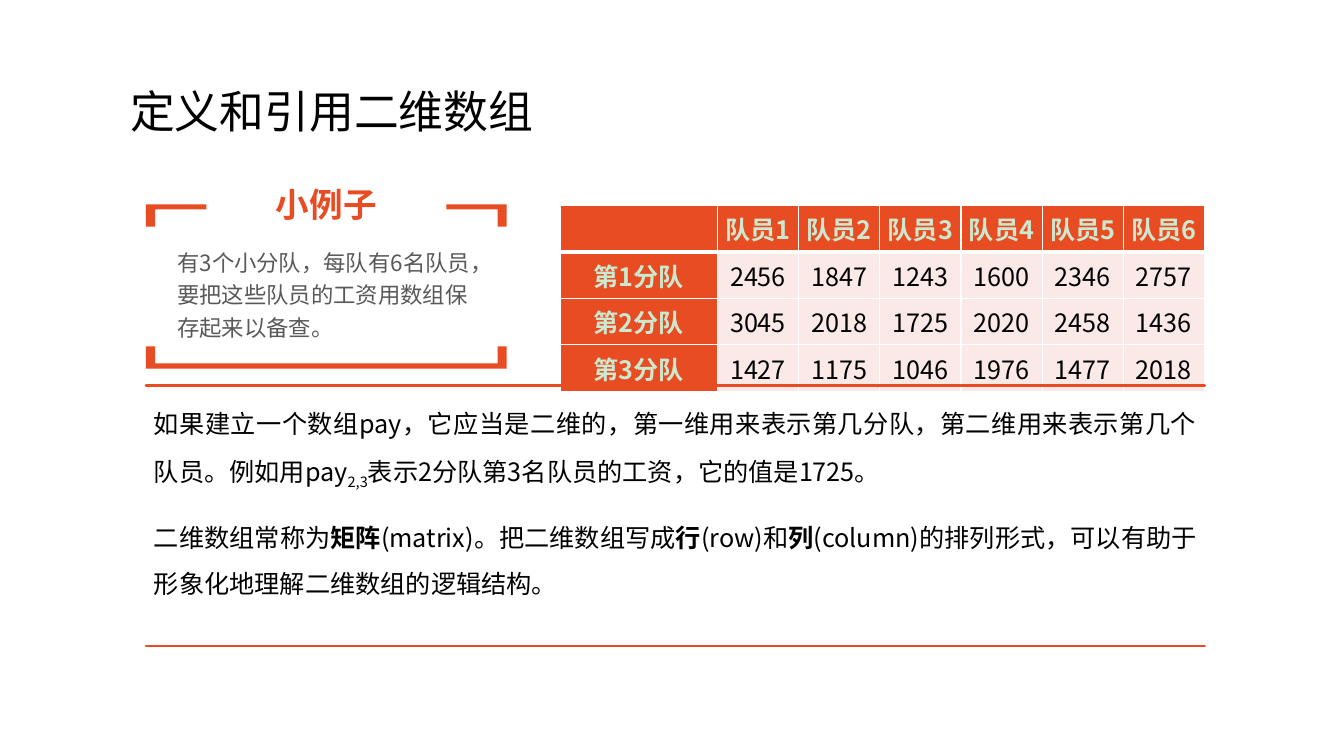
from lxml.etree import SubElement
from pptx import Presentation
from pptx.dml.color import RGBColor
from pptx.enum.text import MSO_ANCHOR as Anchor, PP_ALIGN as Align
from pptx.oxml import parse_xml
from pptx.oxml.ns import nsdecls, qn
from pptx.util import Cm, Pt

FONT = "Noto Sans CJK SC"
ORANGE, PINK, PALE_GREEN = "E84C22", "FBE9E8", "CCE8CF"
BLACK, GREY, WHITE = "000000", "595959", "FFFFFF"

MEMBERS = [f"队员{n}" for n in range(1, 7)]
PAY = [
    [2456, 1847, 1243, 1600, 2346, 2757],
    [3045, 2018, 1725, 2020, 2458, 1436],
    [1427, 1175, 1046, 1976, 1477, 2018],
]
EXAMPLE = "有3个小分队，每队有6名队员，要把这些队员的工资用数组保存起来以备查。"
# Each run is its text and its style: "" plain, "b" bold, "sub" subscript.
EXPLANATION = [
    [("如果建立一个数组pay，它应当是二维的，第一维用来表示第几分队，"
      "第二维用来表示第几个队员。例如用pay", ""),
     ("2,3", "sub"), ("表示2分队第3名队员的工资，它的值是1725。", "")],
    [("二维数组常称为", ""), ("矩阵", "b"), ("(matrix)。把二维数组写成", ""),
     ("行", "b"), ("(row)和", ""), ("列", "b"),
     ("(column)的排列形式，可以有助于形象化地理解二维数组的逻辑结构。", "")],
]


def rgb(value):
    return RGBColor.from_string(value)


def style(paragraph, size, color, bold=False, align=Align.LEFT, spacing=None):
    paragraph.alignment = align
    if spacing:
        paragraph.line_spacing = spacing
    font = paragraph.font
    font.name, font.size, font.bold = FONT, Pt(size), bold
    font.color.rgb = rgb(color)
    defaults = paragraph._p.pPr.find(qn("a:defRPr"))
    SubElement(defaults, qn("a:ea")).set("typeface", FONT)


def set_frame(frame, margins, anchor=Anchor.TOP):
    """Wrap the text; margins are left, top, right, bottom in cm."""
    frame.word_wrap = True
    frame.vertical_anchor = anchor
    (frame.margin_left, frame.margin_top,
     frame.margin_right, frame.margin_bottom) = map(Cm, margins)


def add_outlines(slide, outlines):
    """One shape made of several closed outlines, given in cm."""
    outlines = [[(Cm(x), Cm(y)) for x, y in outline] for outline in outlines]
    builder = slide.shapes.build_freeform(*outlines[0][0])
    for number, (start, *rest) in enumerate(outlines):
        if number:
            builder.move_to(*start)
        builder.add_line_segments(rest, close=True)
    shape = builder.convert_to_shape()
    shape.shadow.inherit = False
    return shape


def add_title(slide, left, top, width, height):
    frame = slide.shapes.add_textbox(*map(Cm, (left, top, width, height))).text_frame
    set_frame(frame, (0.25, 0.13, 0.25, 0.13), Anchor.MIDDLE)
    frame.text = "定义和引用二维数组"
    style(frame.paragraphs[0], 32, BLACK, spacing=0.9)


def add_example(slide, left, top, width, height):
    """Bracketed frame, open at the sides and top, with its heading and text."""
    right, bottom = left + width, top + height
    thick_x, thick_y, leg, arm = 0.23, 0.13, 0.56, 1.52

    def corner(edge, inward):
        inner = edge + inward * thick_x
        tip = edge + inward * arm
        return [(edge, top), (tip, top), (tip, top + thick_y),
                (inner, top + thick_y), (inner, top + leg), (edge, top + leg)]

    base = [(left, bottom - leg), (left + thick_x, bottom - leg),
            (left + thick_x, bottom - thick_y), (right - thick_x, bottom - thick_y),
            (right - thick_x, bottom - leg), (right, bottom - leg),
            (right, bottom), (left, bottom)]
    bracket = add_outlines(slide, [base, corner(right, -1), corner(left, 1)])
    bracket.fill.solid()
    bracket.fill.fore_color.rgb = rgb(ORANGE)
    bracket.line.fill.background()
    set_frame(bracket.text_frame, (0.79, 1, 0.79, 0))
    bracket.text_frame.text = EXAMPLE
    style(bracket.text_frame.paragraphs[0], 16, GREY, spacing=1.2)

    heading_width = 4
    heading = slide.shapes.add_textbox(
        Cm(left + (width - heading_width) / 2), Cm(top - 0.74),
        Cm(heading_width), Cm(1.45)).text_frame
    set_frame(heading, (0, 0, 0, 0), Anchor.MIDDLE)
    heading.text = "小例子"
    style(heading.paragraphs[0], 24, ORANGE, True, Align.CENTER)


def set_borders(cell, top, bottom):
    """Draw all four sides; top and bottom are widths in points."""
    properties = cell._tc.get_or_add_tcPr()
    sides = (("L", 1), ("R", 1), ("T", top), ("B", bottom))
    for position, (side, points) in enumerate(sides):
        properties.insert(position, parse_xml(
            f'<a:ln{side} {nsdecls("a")} w="{Pt(points)}"><a:solidFill>'
            f'<a:srgbClr val="{WHITE}"/></a:solidFill></a:ln{side}>'))


def add_pay_table(slide, left, top, width, height):
    rows = [["", *MEMBERS]] + [
        [f"第{n}分队", *pays] for n, pays in enumerate(PAY, 1)]
    table = slide.shapes.add_table(
        len(rows), len(rows[0]), *map(Cm, (left, top, width, height))).table
    team_width = 3.96
    for column in table.columns:
        column.width = Cm((width - team_width) / len(MEMBERS))
    table.columns[0].width = Cm(team_width)
    for r, values in enumerate(rows):
        for c, value in enumerate(values):
            cell = table.cell(r, c)
            is_label = r == 0 or c == 0
            cell.margin_left = cell.margin_right = Cm(0.1)
            cell.margin_top = cell.margin_bottom = Cm(0.13)
            set_borders(cell, 3 if r == 1 else 1, 3 if r == 0 else 1)
            cell.fill.solid()
            cell.fill.fore_color.rgb = rgb(ORANGE if is_label else PINK)
            cell.text = str(value)
            style(cell.text_frame.paragraphs[0], 18,
                  PALE_GREEN if is_label else BLACK, is_label, Align.CENTER)


def add_explanation(slide, left, top, width, height):
    """Two paragraphs between an upper and a lower rule, all one shape."""
    rules = add_outlines(slide, [
        [(left, y), (left + width, y), (left, y)] for y in (top + height, top)])
    rules.fill.background()
    rules.line.color.rgb = rgb(ORANGE)
    rules.line.width = Pt(2)
    frame = rules.text_frame
    set_frame(frame, (0.2, 0.2, 0.2, 0.2))
    for number, pieces in enumerate(EXPLANATION):
        paragraph = frame.add_paragraph() if number else frame.paragraphs[0]
        paragraph.space_before = Pt(6 if number else 0)
        paragraph.space_after = Pt(6)
        style(paragraph, 18, BLACK, align=Align.JUSTIFY, spacing=1.5)
        for words, kind in pieces:
            run = paragraph.add_run()
            run.text = words
            if kind == "b":
                run.font.bold = True
            elif kind == "sub":
                run.font._element.set("baseline", "-25000")


def main():
    deck = Presentation()
    deck.slide_width, deck.slide_height = Cm(33.87), Cm(19.05)
    slide = deck.slides.add_slide(deck.slide_layouts[6])
    add_title(slide, 3.03, 1.04, 16.46, 3.68)
    add_example(slide, 3.68, 5.15, 9.09, 4.14)
    add_pay_table(slide, 14.12, 5.18, 16.24, 4.68)
    add_explanation(slide, 3.68, 9.72, 26.68, 6.56)
    deck.save("out.pptx")


if __name__ == "__main__":
    main()
